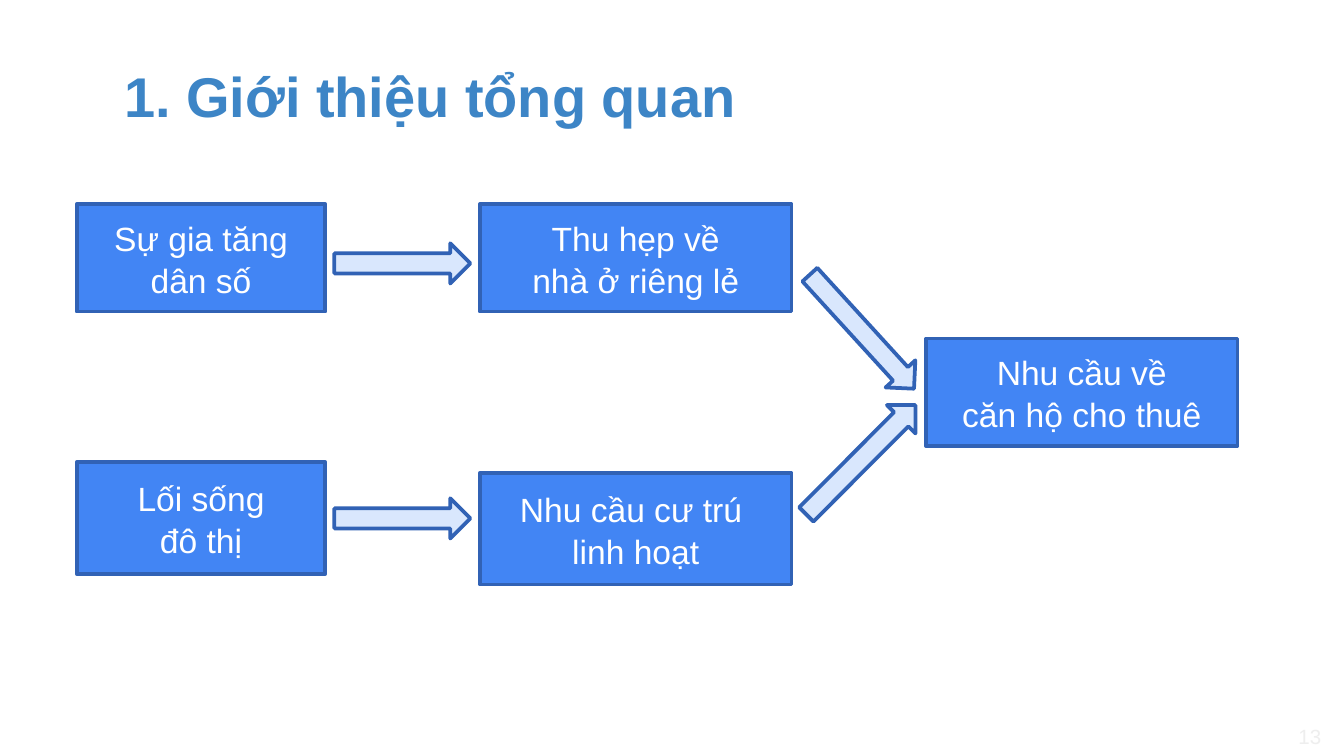
from dataclasses import dataclass

from lxml.etree import SubElement
from pptx import Presentation
from pptx.dml.color import RGBColor
from pptx.enum.shapes import MSO_SHAPE
from pptx.enum.text import MSO_ANCHOR, PP_ALIGN
from pptx.oxml.ns import qn
from pptx.util import Cm, Pt


@dataclass(frozen=True)
class Theme:
    font: str = "Arial"
    head: str = "3D85C6"
    box: str = "4285F4"
    arrow: str = "D9E7FD"
    edge: str = "3162B5"
    text: str = "FFFFFF"
    pale: str = "EEEEEE"
    big: int = 30
    mid: int = 18
    small: int = 11
    stroke: int = 2


def apply(target, values):
    for name, value in values.items():
        setattr(target, name, value)


def frame(left, top, width, height):
    return dict(left=Cm(left), top=Cm(top), width=Cm(width), height=Cm(height))


class Board:
    def __init__(self, slide, theme):
        self.slide = slide
        self.theme = theme

    def label(self, shape, text, size, color, align, anchor, space=1.0, bold=False):
        body = shape.text_frame
        apply(body, dict(text=text, word_wrap=True, vertical_anchor=anchor))
        for para in body.paragraphs:
            apply(para, dict(alignment=align, line_spacing=space))
            for run in para.runs:
                apply(run.font, dict(name=self.theme.font, size=Pt(size), bold=bold))
                run.font.color.rgb = RGBColor.from_string(color)
        return body

    def title(self, text, place):
        theme = self.theme
        shape = self.slide.shapes.title
        apply(shape, frame(*place))
        body = self.label(shape, text, theme.big, theme.head,
                          PP_ALIGN.LEFT, MSO_ANCHOR.TOP, 1.1, True)
        inset = Cm(0.25)
        apply(body, dict(margin_left=inset, margin_right=inset,
                         margin_top=inset, margin_bottom=inset))
        props = body.paragraphs[0]._p.get_or_add_pPr()
        props.set("marL", str(Cm(1.27)))
        props.set("indent", str(-Cm(1.17)))
        tint = SubElement(props, qn("a:buClr"))
        SubElement(tint, qn("a:srgbClr"), val=theme.head)
        SubElement(props, qn("a:buFont"), typeface=theme.font)
        SubElement(props, qn("a:buAutoNum"), type="arabicPeriod")

    def shape(self, kind, place, fill):
        shape = self.slide.shapes.add_shape(kind, *frame(*place).values())
        shape.shadow.inherit = False
        shape.fill.solid()
        shape.fill.fore_color.rgb = RGBColor.from_string(fill)
        shape.line.color.rgb = RGBColor.from_string(self.theme.edge)
        shape.line.width = Pt(self.theme.stroke)
        SubElement(shape._element.spPr.find(qn("a:ln")), qn("a:round"))
        return shape

    def box(self, text, place):
        theme = self.theme
        shape = self.shape(MSO_SHAPE.RECTANGLE, place, theme.box)
        self.label(shape, text, theme.mid, theme.text,
                   PP_ALIGN.CENTER, MSO_ANCHOR.MIDDLE, 1.05)

    def arrow(self, place, angle):
        shape = self.shape(MSO_SHAPE.RIGHT_ARROW, place, self.theme.arrow)
        shape.rotation = angle

    def number(self, text, place):
        theme = self.theme
        shape = self.slide.shapes.add_textbox(*frame(*place).values())
        body = self.label(shape, text, theme.small, theme.pale,
                          PP_ALIGN.RIGHT, MSO_ANCHOR.MIDDLE)
        apply(body, dict(margin_left=0, margin_right=0,
                         margin_top=0, margin_bottom=0))


def main():
    deck = Presentation()
    apply(deck, dict(slide_width=Cm(25.4), slide_height=Cm(14.29)))
    board = Board(deck.slides.add_slide(deck.slide_layouts[5]), Theme())

    board.title("Giới thiệu tổng quan", (2, 0.79, 21.41, 1.6))

    cause, effect, need = (1.45, 4.7), (9.07, 5.89), (17.5, 5.89)
    for text, (left, width), top, height in (
        ("Sự gia tăng dân số", cause, 3.86, 2.03),
        ("Nhu cầu cư trú \vlinh hoạt", effect, 8.94, 2.11),
        ("Thu hẹp về\vnhà ở riêng lẻ", effect, 3.86, 2.03),
        ("Lối sống\nđô thị", cause, 8.74, 2.11),
        ("Nhu cầu về\vcăn hộ cho thuê", need, 6.4, 2.03),
    ):
        board.box(text, (left, top, width, height))

    for left, top, length, angle in (
        (6.32, 4.6, 2.57, 0),
        (6.32, 9.42, 2.57, 0),
        (14.83, 5.89, 2.92, 47.6),
        (14.81, 8.31, 2.92, 314.9),
    ):
        board.arrow((left, top, length, 0.76), angle)

    board.number("13", (23.5, 13.57, 1.47, 0.7))
    deck.save("out.pptx")


if __name__ == "__main__":
    main()
